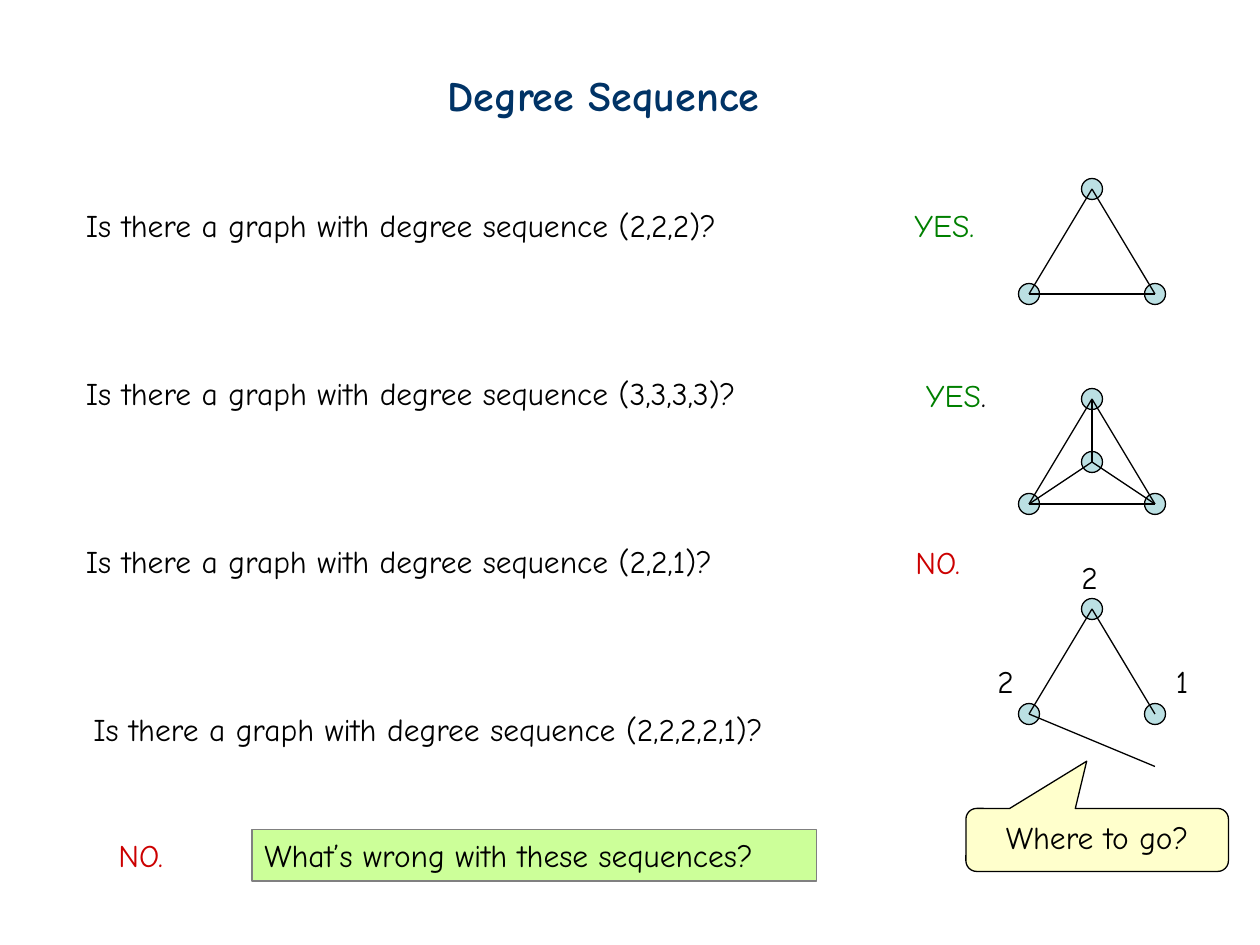
from lxml.etree import SubElement
from pptx import Presentation
from pptx.dml.color import RGBColor
from pptx.enum.shapes import MSO_CONNECTOR as Connector, MSO_SHAPE as Shape
from pptx.enum.text import MSO_ANCHOR as Anchor, MSO_AUTO_SIZE as AutoSize, PP_ALIGN as Align
from pptx.oxml.ns import qn
from pptx.util import Pt

PX = 7620  # EMU per px, 120 px to the inch
FONT = "Comic Neue"
BLACK, NAVY, GREEN, RED = "000000", "003366", "008000", "CC0000"
NODE, LIME, CREAM, GREY = "BBE0E3", "CCFF99", "FFFFCC", "808080"
NODE_SIZE = 20


def px(*values):
    return [round(v * PX) for v in values]


def rgb(color):
    return RGBColor.from_string(color)


def write(shape, runs, size=18, bold=False, align=Align.LEFT, anchor=Anchor.TOP, grow=True):
    tf = shape.text_frame
    tf.word_wrap = not grow
    tf.auto_size = AutoSize.SHAPE_TO_FIT_TEXT if grow else AutoSize.NONE
    tf.vertical_anchor = anchor
    p = tf.paragraphs[0]
    p.alignment = align
    for text, color in runs:
        r = p.add_run()
        r.text = text
        r.font.name, r.font.size, r.font.bold = FONT, Pt(size), bold
        r.font.color.rgb = rgb(color)


def add_title(s, text, x, y, w, h):
    title = s.shapes.title
    title.left, title.top, title.width, title.height = px(x, y, w, h)
    write(title, [(text, NAVY)], size=24, bold=True)


def add_text(s, x, y, w, *runs):
    write(s.shapes.add_textbox(*px(x, y, w, 48)), runs)


def add_box(s, kind, x, y, w, h, fill, line=BLACK):
    sp = s.shapes.add_shape(kind, *px(x, y, w, h))
    sp.shadow.inherit = False
    sp.fill.solid()
    sp.fill.fore_color.rgb = rgb(fill)
    sp.line.color.rgb = rgb(line)
    sp.line.width = Pt(0.75)
    return sp


def add_edge(s, start, end):
    edge = s.shapes.add_connector(Connector.STRAIGHT, *px(*start, *end))
    edge.line.color.rgb = rgb(BLACK)
    edge.line.width = Pt(0.75)
    SubElement(edge._element.spPr, qn("a:effectLst"))


def add_graph(s, nodes, edges):
    for x, y in nodes:
        add_box(s, Shape.OVAL, x - NODE_SIZE / 2, y - NODE_SIZE / 2, NODE_SIZE, NODE_SIZE, NODE)
    for start, end in edges:
        add_edge(s, start, end)


def triangle(top_y):
    """Centres of the top, right and left nodes."""
    return (1040, top_y), (1100, top_y + 100), (980, top_y + 100)


def main():
    prs = Presentation()
    prs.slide_width, prs.slide_height = px(1200, 900)
    s = prs.slides.add_slide(prs.slide_layouts[5])
    add_title(s, "Degree Sequence", 414, 60, 355, 60)

    # Questions, evenly spaced
    questions = [("2,2,2", 70, 684), ("3,3,3,3", 70, 712), ("2,2,1", 70, 679), ("2,2,2,2,1", 77, 733)]
    for i, (sequence, x, w) in enumerate(questions):
        text = f"Is there a graph with degree sequence ({sequence})?"
        add_text(s, x, 190 + 160 * i, w, (text, BLACK))

    # Answers
    add_text(s, 859, 190, 90, ("YES.", GREEN))
    add_text(s, 870, 352, 90, ("YES", GREEN), (".", BLACK))
    add_text(s, 860, 511, 79, ("NO.", RED))
    add_text(s, 101, 790, 79, ("NO.", RED))

    # Triangle graph
    top, right, left = triangle(180)
    add_graph(s, [top, right, left], [(left, top), (top, right), (left, right)])

    # Complete graph on four nodes
    top, right, left = triangle(380)
    middle = (1040, 440)
    add_graph(s, [top, right, left, middle],
              [(left, top), (top, right), (left, right),
               (top, middle), (middle, left), (middle, right)])

    # Impossible graph with a loose edge
    top, right, left = triangle(580)
    add_graph(s, [top, right, left], [(left, top), (top, right), (left, (1100, 730))])
    for degree, x, y, w in [("2", 1018, 526, 42), ("1", 1108, 625, 37), ("2", 938, 625, 42)]:
        add_text(s, x, y, w, (degree, BLACK))

    # Callout on the loose edge
    callout = add_box(s, Shape.ROUNDED_RECTANGULAR_CALLOUT, 920, 770, 250, 60, CREAM)
    for i, value in enumerate((-0.04, -1.25, 0.17)):
        callout.adjustments[i] = value
    write(callout, [("Where to go?", BLACK)], align=Align.CENTER, grow=False)

    # Closing question
    box = add_box(s, Shape.RECTANGLE, 240, 790, 538, 49, LIME, GREY)
    write(box, [("What’s wrong with these sequences?", BLACK)])

    prs.save("out.pptx")


if __name__ == "__main__":
    main()
